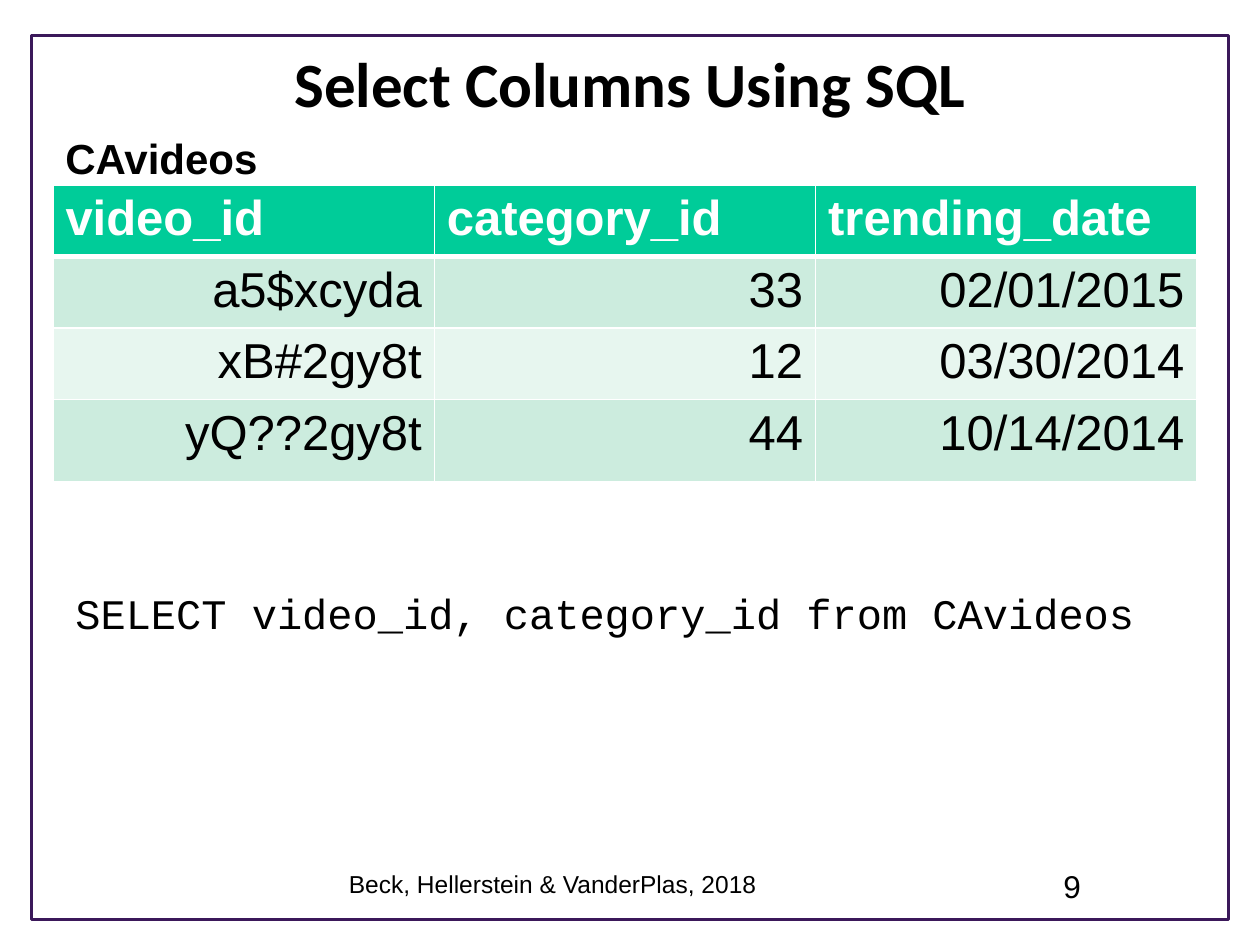
from lxml import etree
from pptx import Presentation
from pptx.dml.color import RGBColor
from pptx.enum.shapes import MSO_SHAPE
from pptx.enum.text import MSO_ANCHOR, PP_ALIGN
from pptx.oxml.ns import qn
from pptx.util import Inches, Pt

RECTANGLE = MSO_SHAPE.RECTANGLE
TOP, MIDDLE = MSO_ANCHOR.TOP, MSO_ANCHOR.MIDDLE
LEFT, CENTER, RIGHT = PP_ALIGN.LEFT, PP_ALIGN.CENTER, PP_ALIGN.RIGHT

BLACK, WHITE, PURPLE = "000000", "FFFFFF", "3B185A"
HEADER_GREEN, BAND_DARK, BAND_LIGHT = "00CC99", "CCECDE", "E7F6EF"


def color(value):
    return RGBColor.from_string(value)


class SlideBuilder:
    """Holds the text style and the current page."""

    font = "Arial"

    def __init__(self, page):
        self.page = page

    def style(self, para, size, font=None, ink=BLACK, bold=False, align=LEFT):
        para.alignment = align
        para.font.name = font or self.font
        para.font.size = Pt(size)
        para.font.bold = bold
        para.font.color.rgb = color(ink)

    def frame(self, left, top, width, height, ink, weight):
        shape = self.page.shapes.add_shape(
            RECTANGLE, Inches(left), Inches(top), Inches(width), Inches(height))
        shape.shadow.inherit = False
        shape.fill.background()
        shape.line.color.rgb = color(ink)
        shape.line.width = Pt(weight)

    def text(self, words, left, top, width, height, size,
             wrap=True, anchor=TOP, **style):
        box = self.page.shapes.add_textbox(
            Inches(left), Inches(top), Inches(width), Inches(height))
        box.text_frame.word_wrap = wrap
        box.text_frame.vertical_anchor = anchor
        para = box.text_frame.paragraphs[0]
        para.text = words
        self.style(para, size, **style)

    def borders(self, cell, bottom):
        properties = cell._tc.get_or_add_tcPr()
        weights = {"a:lnL": 1, "a:lnR": 1, "a:lnT": 1, "a:lnB": bottom}
        for position, (side, weight) in enumerate(weights.items()):
            line = etree.Element(qn(side), w=str(Pt(weight)))
            fill = etree.SubElement(line, qn("a:solidFill"))
            etree.SubElement(fill, qn("a:srgbClr"), val=WHITE)
            properties.insert(position, line)

    def table(self, rows, left, top, width, heights, size):
        table = self.page.shapes.add_table(
            len(rows), len(rows[0]), Inches(left), Inches(top),
            Inches(width), Inches(sum(heights))).table
        for row_index, row in enumerate(rows):
            table.rows[row_index].height = Inches(heights[row_index])
            header = row_index == 0
            band = BAND_DARK if row_index % 2 else BAND_LIGHT
            for column_index, words in enumerate(row):
                cell = table.cell(row_index, column_index)
                cell.fill.solid()
                cell.fill.fore_color.rgb = color(HEADER_GREEN if header else band)
                self.borders(cell, bottom=3 if header else 1)
                para = cell.text_frame.paragraphs[0]
                para.text = words
                self.style(para, size, ink=WHITE if header else BLACK,
                           bold=header, align=LEFT if header else RIGHT)


def main():
    deck = Presentation()
    deck.slide_width, deck.slide_height = Inches(10), Inches(7.5)
    builder = SlideBuilder(deck.slides.add_slide(deck.slide_layouts[6]))

    # Page border and title
    builder.frame(0.25, 0.28, 9.5, 7.02, PURPLE, 1.75)
    builder.text("Select Columns Using SQL", 0.5, 0.3, 9, 0.95, 36,
                 font="Calibri", bold=True, align=CENTER)

    # Query
    builder.text("SELECT video_id, category_id from CAvideos",
                 0.5, 4.55, 9, 0.62, 24, font="Courier New", anchor=MIDDLE)

    # Footer and page number
    builder.text("Beck, Hellerstein & VanderPlas, 2018", 2.67, 6.85, 3.92, 0.23, 14)
    builder.text("9", 8.34, 6.83, 0.58, 0.4, 18)

    # Table with its name
    rows = [
        ("video_id", "category_id", "trending_date"),
        ("a5$xcyda", "33", "02/01/2015"),
        ("xB#2gy8t", "12", "03/30/2014"),
        ("yQ??2gy8t", "44", "10/14/2014"),
    ]
    builder.table(rows, 0.42, 1.47, 9.08, [0.48, 0.48, 0.48, 0.65], 28)
    builder.text("CAvideos", 0.42, 1, 1.74, 0.5, 24, wrap=False, bold=True)

    deck.save("out.pptx")


if __name__ == "__main__":
    main()
